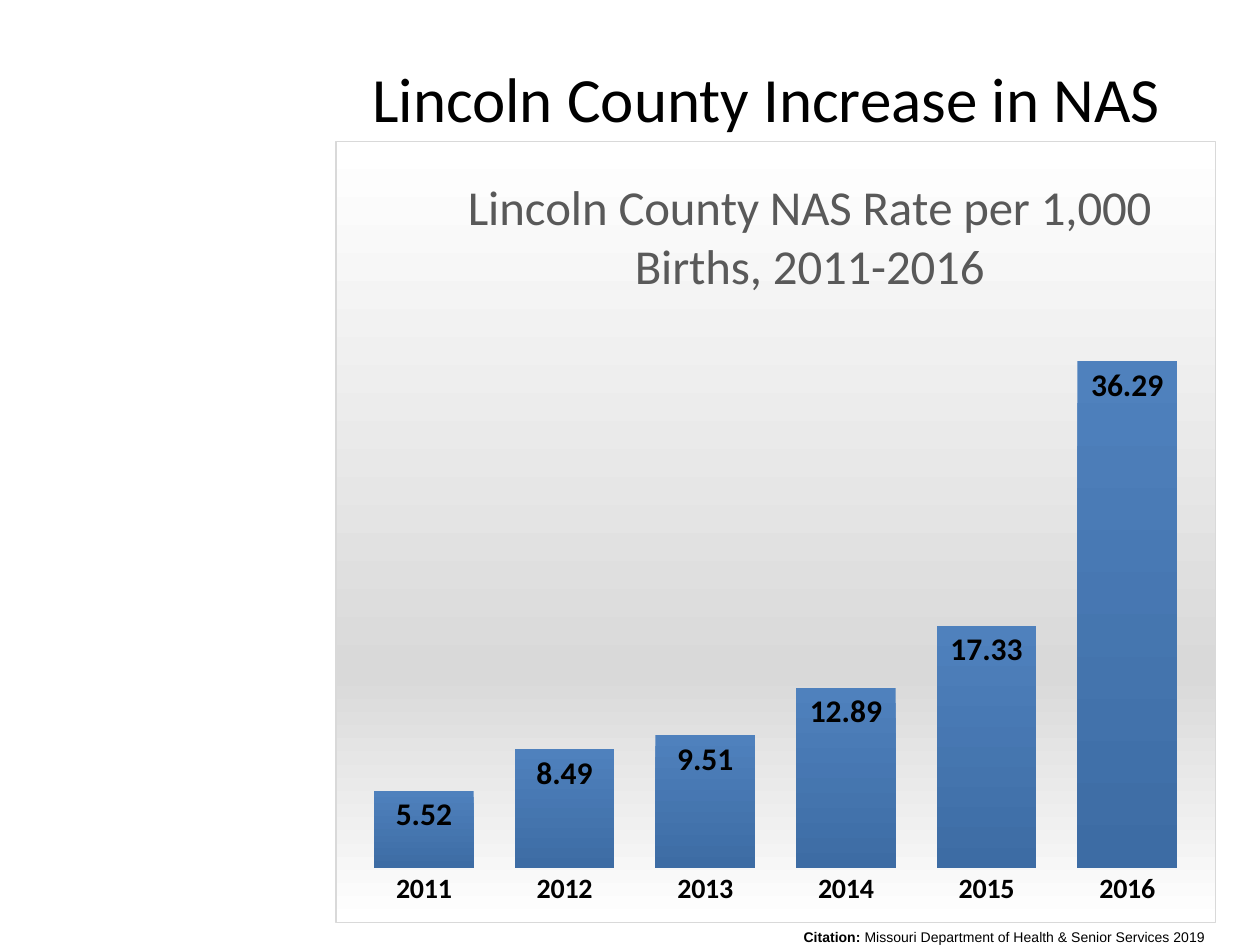
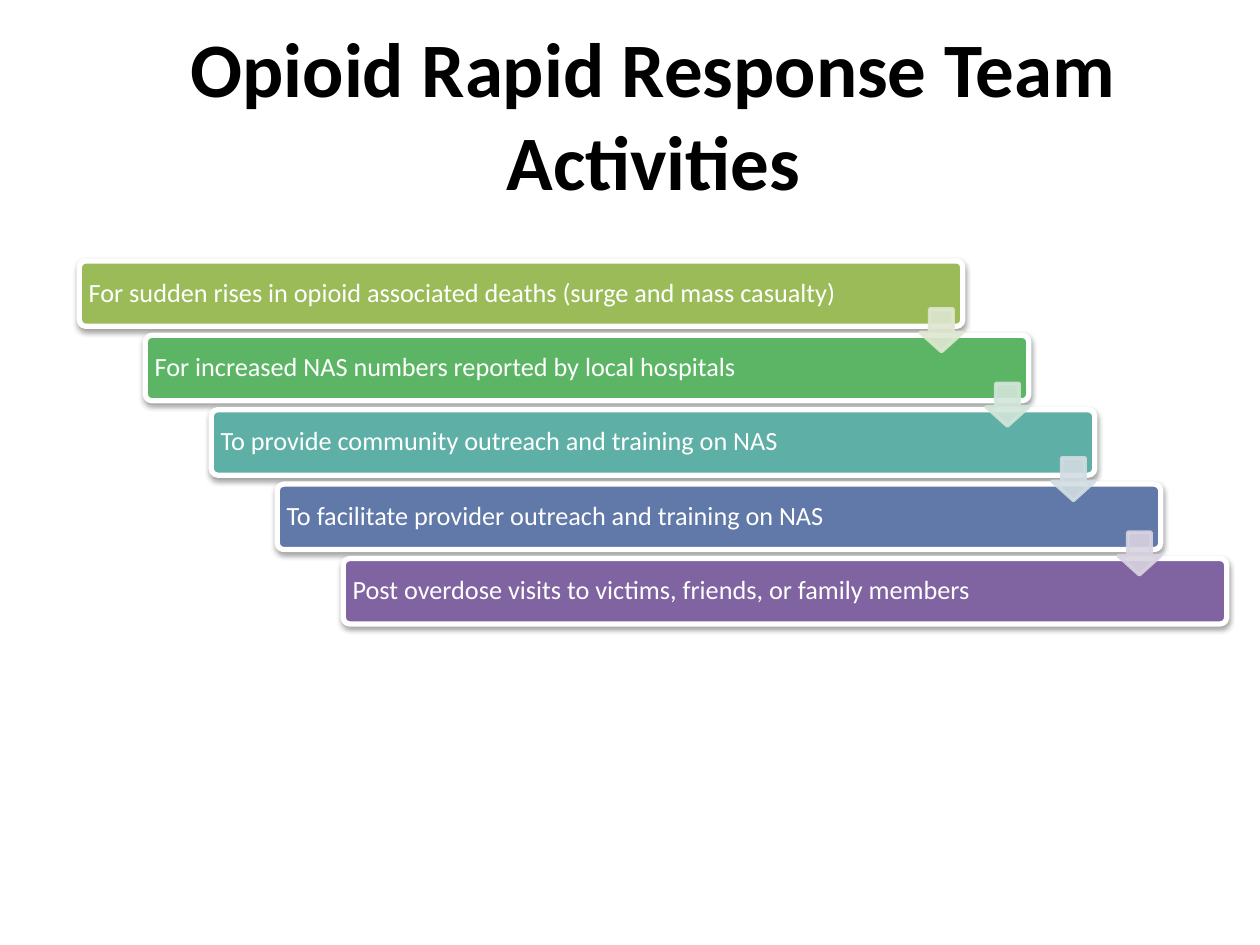
from lxml import etree
from pptx import Presentation
from pptx.chart.data import CategoryChartData
from pptx.dml.color import RGBColor
from pptx.enum.chart import XL_CHART_TYPE as ChartType, XL_LABEL_POSITION as LabelPosition
from pptx.enum.chart import XL_TICK_MARK as TickMark
from pptx.enum.shapes import MSO_SHAPE as Shape
from pptx.enum.text import MSO_ANCHOR as Anchor, PP_ALIGN as Align
from pptx.oxml import parse_xml
from pptx.oxml.ns import nsdecls, qn
from pptx.util import Cm, Pt

BLACK, WHITE, GRAY, SILVER = "000000", "FFFFFF", "595959", "D9D9D9"
RATES = {"2011": 5.52, "2012": 8.49, "2013": 9.51, "2014": 12.89, "2015": 17.33, "2016": 36.29}
ACTIVITIES = [
    ("For sudden rises in opioid associated deaths (surge and mass casualty)", "9BBB59"),
    ("For increased NAS numbers reported by local hospitals", "5CB565"),
    ("To provide community outreach and training on NAS", "5EAFA6"),
    ("To facilitate provider outreach and training on NAS", "6179A8"),
    ("Post overdose visits to victims, friends, or family members", "8064A2"),
]
ARROW_COLORS = ["DEE7D1", "D2E5D9", "D2DCE2", "D8D3E0"]


def rgb(color):
    return RGBColor.from_string(color)


def set_font(font, size, color=BLACK, bold=False, name="Calibri"):
    font.name, font.size, font.bold = name, Pt(size), bold
    font.color.rgb = rgb(color)


def place(parent, index, **fractions):
    for old in parent.findall(qn("c:layout")):
        parent.remove(old)
    inner = '<c:layoutTarget val="inner"/>' if "w" in fractions else ""
    modes = "".join(f'<c:{key}Mode val="edge"/>' for key in "xy")
    values = "".join(f'<c:{key} val="{value}"/>' for key, value in fractions.items())
    parent.insert(index, parse_xml(
        f'<c:layout {nsdecls("c")}><c:manualLayout>{inner}{modes}{values}</c:manualLayout></c:layout>'))


class Deck:
    """Holds the shared style and the current slide."""

    def __init__(self):
        self.deck = Presentation()
        self.deck.slide_width, self.deck.slide_height = Cm(25.4), Cm(19.05)

    def new_slide(self):
        self.page = self.deck.slides.add_slide(self.deck.slide_layouts[5])

    def title(self, text, left, top, width, size, anchor, bold=False):
        box = self.page.shapes.title
        box.left, box.top, box.width, box.height = Cm(left), Cm(top), Cm(width), Cm(3.18)
        box.text_frame.text = text
        box.text_frame.vertical_anchor = anchor
        para = box.text_frame.paragraphs[0]
        para.alignment = Align.CENTER
        set_font(para.font, size, bold=bold)

    def citation(self, label, source, left, top, width):
        box = self.page.shapes.add_textbox(Cm(left), Cm(top), Cm(width), Cm(0.46))
        frame = box.text_frame
        frame.word_wrap, frame.margin_bottom = True, 0
        for text, bold in ((label, True), (source, False)):
            span = frame.paragraphs[0].add_run()
            span.text = text
            set_font(span.font, 8, bold=bold, name="Arial")

    def column_chart(self, title, rates, left, top, width, height):
        data = CategoryChartData()
        data.categories = list(rates)
        data.add_series("Series 1", rates.values())
        chart = self.page.shapes.add_chart(
            ChartType.COLUMN_CLUSTERED, Cm(left), Cm(top), Cm(width), Cm(height), data).chart
        set_font(chart.font, 10)
        chart.has_legend = False
        chart.has_title = True
        chart.chart_title.text_frame.text = title
        set_font(chart.chart_title.text_frame.paragraphs[0].runs[0].font, 28, GRAY)
        place(chart.chart_title._element, 1, x=0.14, y=0.03)
        place(chart.element.find(".//" + qn("c:plotArea")), 0, x=0.02, y=0.215, w=0.96, h=0.715)
        self.chart_background(chart)
        self.chart_axes(chart)
        self.chart_columns(chart.plots[0])

    def chart_background(self, chart):
        stops = "".join(f'<a:gs pos="{position}000"><a:srgbClr val="{color}"/></a:gs>'
                        for position, color in ((0, WHITE), (68, SILVER), (100, WHITE)))
        chart.element.find(qn("c:chart")).addnext(parse_xml(
            f'<c:spPr {nsdecls("c", "a")}><a:gradFill><a:gsLst>{stops}</a:gsLst>'
            f'<a:lin ang="5400000" scaled="0"/></a:gradFill><a:ln w="9525"><a:solidFill>'
            f'<a:srgbClr val="{SILVER}"/></a:solidFill></a:ln></c:spPr>'))

    def chart_axes(self, chart):
        years, values = chart.category_axis, chart.value_axis
        years.major_tick_mark = TickMark.NONE
        years.format.line.fill.background()
        set_font(years.tick_labels.font, 16, bold=True)
        values.visible = values.has_major_gridlines = False
        values.minimum_scale, values.maximum_scale = 0, 40

    def chart_columns(self, plot):
        plot.gap_width = 41
        plot.vary_by_categories = False
        fill = plot.series[0].format.fill
        fill.gradient()
        fill.gradient_angle = 270
        for stop, color in zip(fill.gradient_stops, ("4F81BD", "3D6CA4")):
            stop.color.rgb = rgb(color)
        plot.has_data_labels = True
        labels = plot.data_labels
        labels.show_value = True
        labels.position = LabelPosition.INSIDE_END
        set_font(labels.font, 18, bold=True)

    def shape(self, kind, left, top, width, height, fill, line, line_width, adjustments):
        box = self.page.shapes.add_shape(kind, Cm(left), Cm(top), Cm(width), Cm(height))
        box.shadow.inherit = False
        for index, value in enumerate(adjustments):
            box.adjustments[index] = value
        box.fill.solid()
        box.fill.fore_color.rgb = rgb(fill)
        box.line.color.rgb = rgb(line)
        box.line.width = Pt(line_width)
        return box

    def bar(self, text, color, left, top, width, height):
        box = self.shape(Shape.ROUNDED_RECTANGLE, left, top, width, height, color, WHITE, 3, [0.1])
        box.element.spPr.find(qn("a:effectLst")).append(parse_xml(
            f'<a:outerShdw {nsdecls("a")} blurRad="40000" dist="20000" dir="5400000" rotWithShape="0">'
            f'<a:srgbClr val="{BLACK}"><a:alpha val="38000"/></a:srgbClr></a:outerShdw>'))
        frame = box.text_frame
        frame.word_wrap = True
        frame.vertical_anchor = Anchor.MIDDLE
        frame.margin_left = frame.margin_right = frame.margin_top = frame.margin_bottom = Cm(0.15)
        frame.text = text
        para = frame.paragraphs[0]
        para.alignment, para.line_spacing = Align.LEFT, 0.9
        set_font(para.font, 15, WHITE)

    def arrow(self, color, left, top, size):
        box = self.shape(Shape.DOWN_ARROW, left, top, size, size, color, color, 2, [0.55, 0.45])
        for paint in box.element.spPr.iter(qn("a:srgbClr")):
            etree.SubElement(paint, qn("a:alpha")).set("val", "90000")


def main():
    style = Deck()

    style.new_slide()
    style.title("Lincoln County Increase in NAS", 6.76, 1.07, 17.37, 36, Anchor.TOP)
    style.column_chart("Lincoln County NAS Rate per 1,000 Births, 2011-2016", RATES,
                       6.76, 2.84, 17.75, 15.77)
    style.citation("Citation: ", "Missouri Department of Health & Senior Services 2019",
                   15.95, 18.59, 9.4)

    style.new_slide()
    style.title("Opioid Rapid Response Team Activities", 1.35, 0.69, 23.65, 44, Anchor.MIDDLE, True)
    left, top, width, height = 1.6, 5.26, 17.81, 1.32
    step_right, step_down, arrow_size = 1.33, 1.5, 0.86
    for step, (text, color) in enumerate(ACTIVITIES):
        style.bar(text, color, left + step * step_right, top + step * step_down, width, height)
    for step, color in enumerate(ARROW_COLORS):
        style.arrow(color, left + width - arrow_size + step * step_right,
                    top + 0.97 + step * step_down, arrow_size)

    style.deck.save("out.pptx")


if __name__ == "__main__":
    main()
